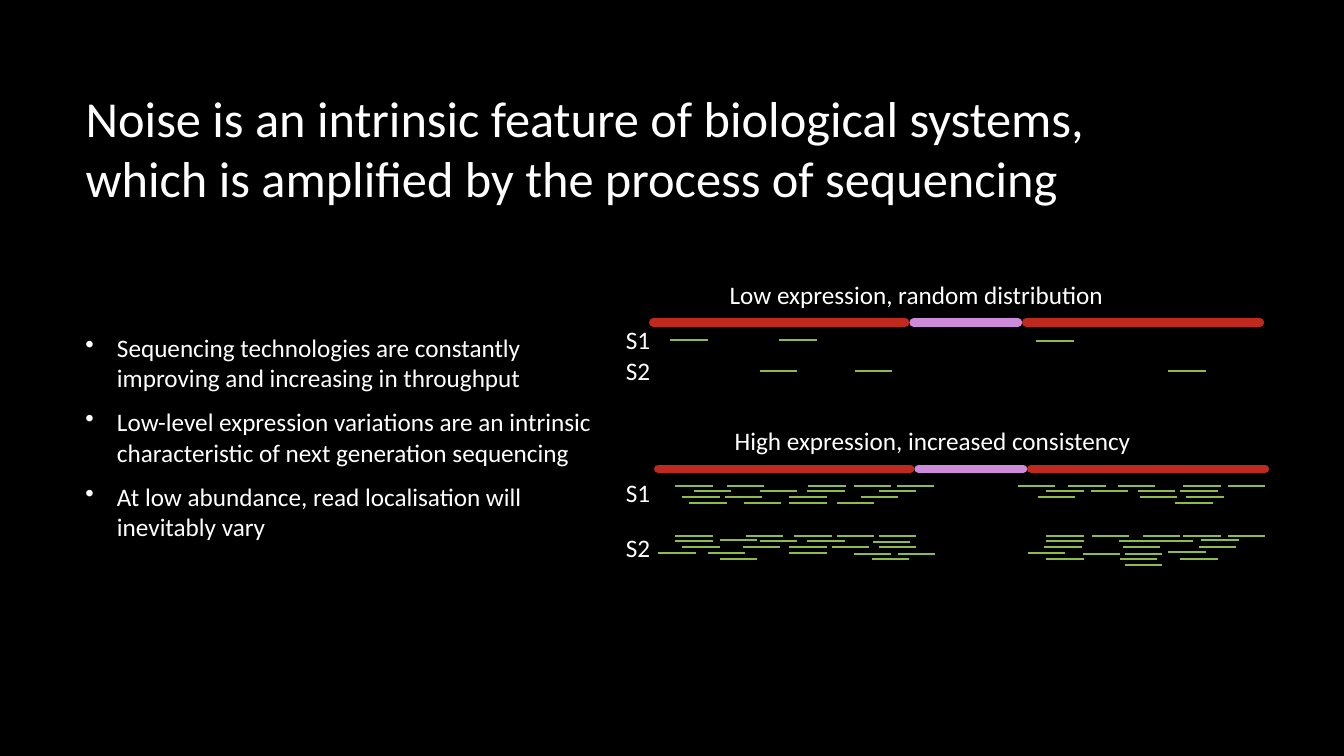
from lxml import etree
from pptx import Presentation
from pptx import util as u
from pptx.dml.color import RGBColor
from pptx.enum import shapes, text
from pptx.oxml.ns import qn

COLOURS = {"background": "000000", "text": "FFFFFF", "exon": "C02A1E",
           "intron": "CD8BDA", "read": "90BA4C"}
READ_LENGTH = 26.64
GENE_SEGMENTS = [("exon", 0, 180), ("intron", 186, 260.6), ("exon", 266.4, 433.4)]
BULLETS = [
    "Sequencing technologies are constantly improving and increasing in throughput",
    "Low-level expression variations are an intrinsic characteristic of next generation sequencing",
    "At low abundance, read localisation will inevitably vary",
]

# Each panel: caption, gene left and top, sample label tops,
# and the left ends of its reads by height.
PANELS = [
    ("Low expression, random distribution", 466.6, 230.4,
     {"S1": 228.2, "S2": 250.6},
     {242.6: [478.8, 556.6],
      243.4: [740.2],
      265: [542.9, 610.6, 834.5]}),
    ("High expression, increased consistency", 470.2, 334.8,
     {"S1": 337.7, "S2": 376.6},
     {347: [482.4, 519.1, 577.4, 609.8, 640.8, 727.2, 763.2, 798.5, 845.3, 877],
      350.6: [495.4, 542.9, 576.7, 627.8, 747.4, 779, 812.9, 843.1],
      355: [487.4, 517.7, 563.8, 614.9, 741.6, 814.3, 847.4],
      359.3: [492.5, 531.4, 563.8, 597.6, 839.5],
      383: [482.4, 532.8, 567.4, 597.6, 627.8, 747.4, 779.8, 816.5, 845.3, 877],
      385.9: [514.1, 858.2],
      386.6: [482.4, 542.9, 576.7, 747.4, 799.2, 825.8],
      387.4: [623.5],
      391: [487.4, 530.6, 563.8, 594, 627.8, 745.9, 802.1, 856.1],
      394.6: [834.5],
      395.3: [470.2, 505.4, 563.8, 734.4],
      396: [609.8, 641.5, 773.3, 803.5],
      399.6: [514.1, 622.8, 747.4, 799.9, 843.1],
      403.9: [803.5]}),
]


class SlideBuilder:
    def __init__(self, presentation):
        self.font = {"name": "Calibri", "bold": False}
        self.slide = presentation.slides.add_slide(presentation.slide_layouts[5])
        fill = self.slide.background.fill
        fill.solid()
        fill.fore_color.rgb = RGBColor.from_string(COLOURS["background"])

    def style(self, paragraph, size):
        paragraph.alignment = text.PP_ALIGN.LEFT
        for name, value in {**self.font, "size": u.Pt(size)}.items():
            setattr(paragraph.font, name, value)
        paragraph.font.color.rgb = RGBColor.from_string(COLOURS["text"])

    def format_frame(self, frame, anchor):
        settings = {"word_wrap": True, "vertical_anchor": anchor,
                    "auto_size": text.MSO_AUTO_SIZE.NONE}
        for name, value in settings.items():
            setattr(frame, name, value)

    def title(self, wording, left, top, width, height):
        title = self.slide.shapes.title
        box = {"left": left, "top": top, "width": width, "height": height}
        for name, value in box.items():
            setattr(title, name, u.Pt(value))
        title.text_frame.text = wording
        self.format_frame(title.text_frame, text.MSO_ANCHOR.MIDDLE)
        self.style(title.text_frame.paragraphs[0], 36)

    def text_box(self, wording, left, top, width, height, anchor=text.MSO_ANCHOR.TOP):
        box = self.slide.shapes.add_textbox(*map(u.Pt, (left, top, width, height)))
        box.text_frame.text = wording
        self.format_frame(box.text_frame, anchor)
        for paragraph in box.text_frame.paragraphs:
            self.style(paragraph, 18)
        return box

    def bullet_list(self, items, left, top, width, height):
        box = self.text_box("\n".join(items), left, top, width, height,
                            text.MSO_ANCHOR.MIDDLE)
        for paragraph in box.text_frame.paragraphs:
            paragraph.space_after = u.Pt(10)
            properties = paragraph._p.get_or_add_pPr()
            properties.set("marL", str(u.Pt(22.5)))
            properties.set("indent", str(u.Pt(-22.5)))
            bullet = etree.Element(qn("a:buChar"), char="•")
            properties.find(qn("a:defRPr")).addprevious(bullet)

    def line(self, colour, left, right, top, width, cap="flat"):
        line = self.slide.shapes.add_connector(
            shapes.MSO_CONNECTOR.STRAIGHT, *map(u.Pt, (left, top, right, top)))
        line.line.color.rgb = RGBColor.from_string(COLOURS[colour])
        line.line.width = u.Pt(width)
        line.line._ln.set("cap", cap)
        etree.SubElement(line._element.spPr, qn("a:effectLst"))

    def panel(self, caption, left, top, labels, reads):
        self.text_box(caption, left + 47.5, top - 34.2, 325.4, 28.8)
        for height, starts in reads.items():
            for start in starts:
                self.line("read", start, start + READ_LENGTH, height, 1.5)
        for label, label_top in labels.items():
            self.text_box(label, 439.9, label_top, 36.7, 28.8)
        for colour, start, end in GENE_SEGMENTS:
            self.line(colour, left + start, left + end, top, 6, "rnd")


def main():
    presentation = Presentation()
    presentation.slide_width = u.Pt(960)
    presentation.slide_height = u.Pt(540)
    builder = SlideBuilder(presentation)
    builder.title("Noise is an intrinsic feature of biological systems, "
                  "which is amplified by the process of sequencing",
                  54, 48.2, 797.8, 114.5)
    builder.bullet_list(BULLETS, 54, 168.5, 393.1, 287.3)
    for panel in PANELS:
        builder.panel(*panel)
    presentation.save("out.pptx")


if __name__ == "__main__":
    main()
